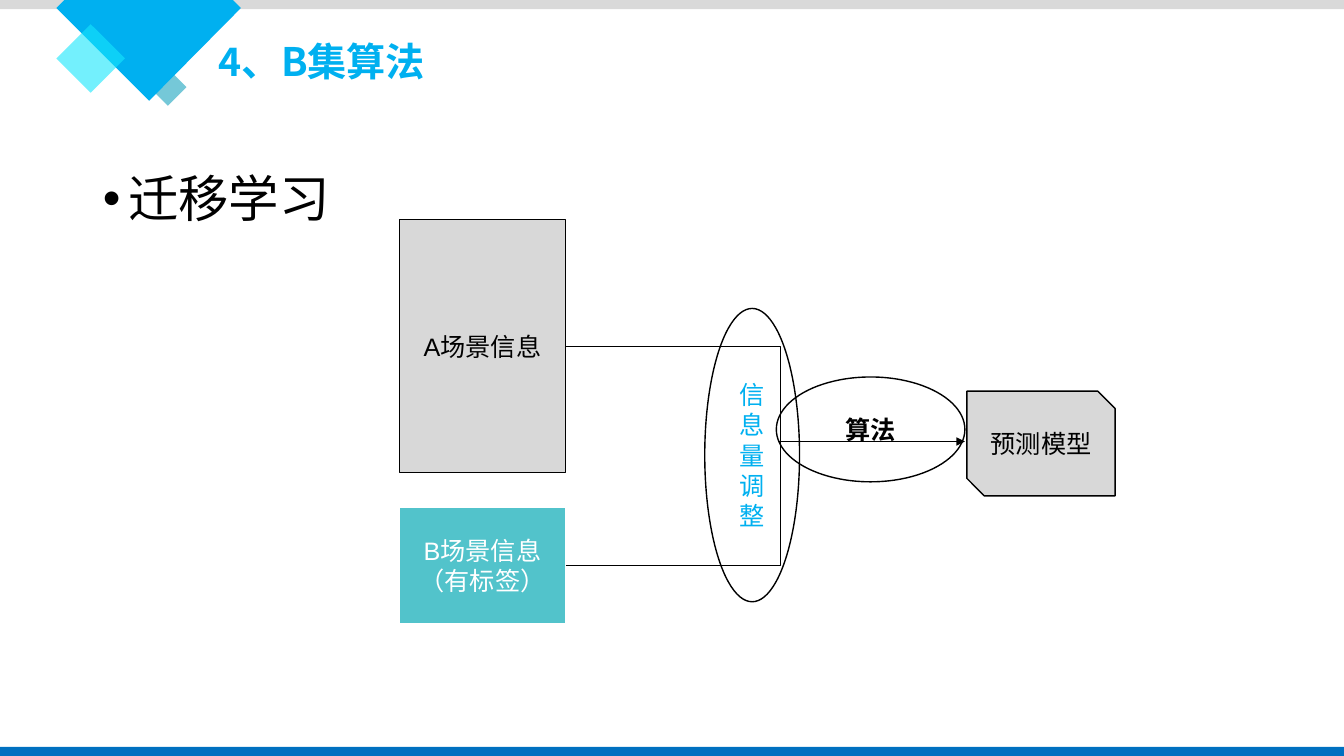
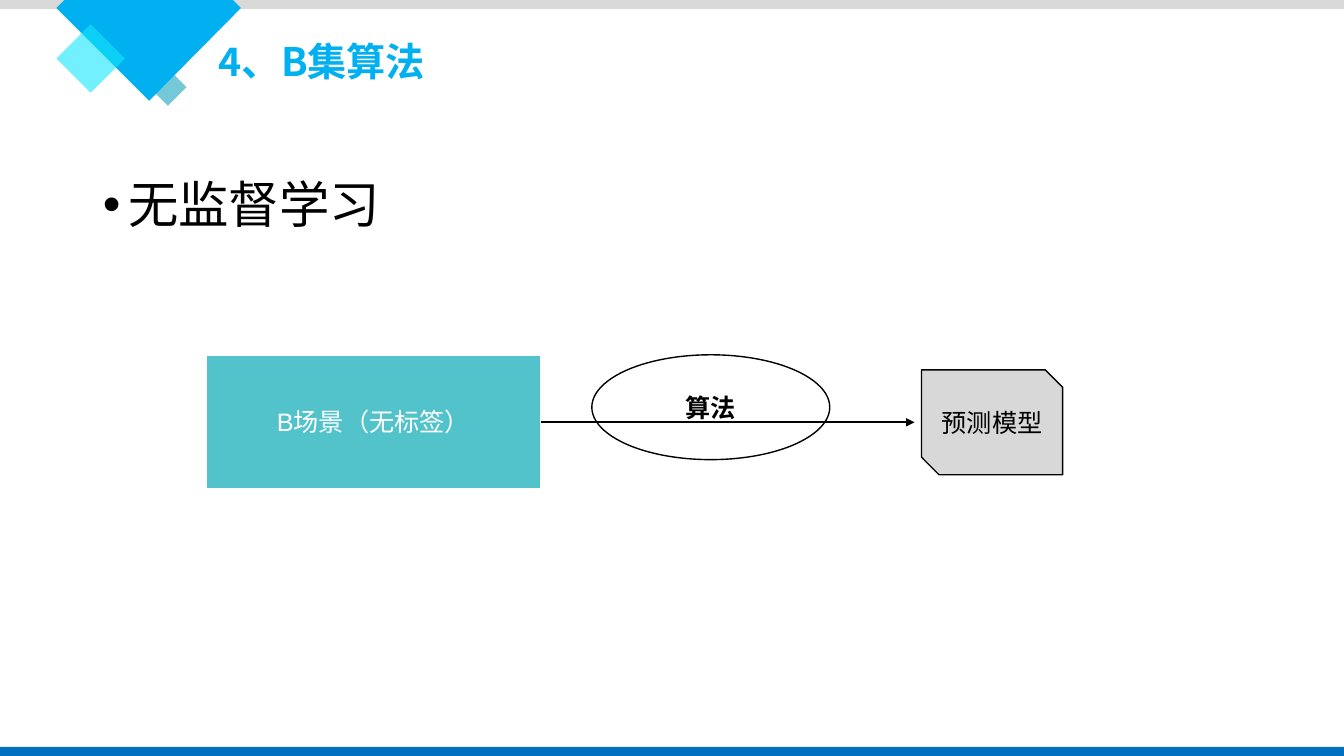
from dataclasses import dataclass

from lxml.etree import SubElement
from pptx import Presentation
from pptx.dml.color import RGBColor
from pptx.enum.shapes import MSO_CONNECTOR as Route, MSO_SHAPE as Preset
from pptx.enum.text import MSO_ANCHOR as Anchor, MSO_AUTO_SIZE as AutoSize, PP_ALIGN as Align
from pptx.oxml.ns import qn
from pptx.util import Inches, Pt


@dataclass(frozen=True)
class Theme:
    black: str = "000000"
    white: str = "FFFFFF"
    sky: str = "00B0F0"
    cyan: str = "16E6FC"
    sea: str = "1AA4BE"
    blue: str = "0070C0"
    silver: str = "D9D9D9"
    grey: str = "D8D8D8"
    teal: str = "52C3CB"
    latin: str = "Arial"
    chinese: str = "Noto Sans CJK SC"
    title_size: int = 28
    body_size: int = 36
    label_size: int = 18


THEME = Theme()
SLIDE_WIDTH, SLIDE_HEIGHT, BAND = 13.33, 7.5, 0.09


def color(value):
    return RGBColor.from_string(value)


def place(shape, box):
    shape.left, shape.top, shape.width, shape.height = map(Inches, box)


def add_run(para, text, size, ink, face, bold=False):
    run = para.add_run()
    run.text = text
    run.font.size = Pt(size)
    run.font.bold = bold
    run.font.name = face
    run.font.color.rgb = color(ink)
    east_asian = SubElement(run.font._element, qn("a:ea"))
    east_asian.set("typeface", THEME.chinese)


def paint(shape, fill=None, line=None, weight=1, opacity=100):
    shape.shadow.inherit = False
    if fill:
        shape.fill.solid()
        shape.fill.fore_color.rgb = color(fill)
        if opacity < 100:
            tint = shape.element.find(f".//{qn('a:solidFill')}/{qn('a:srgbClr')}")
            SubElement(tint, qn("a:alpha")).set("val", str(opacity * 1000))
    else:
        shape.fill.background()
    if line:
        shape.line.color.rgb = color(line)
        shape.line.width = Pt(weight)
    else:
        shape.line.fill.background()


def add_preset(page, preset, box, **look):
    shape = page.shapes.add_shape(preset, *map(Inches, box))
    paint(shape, **look)
    return shape


def add_label(page, preset, box, text, ink=THEME.black, bold=False, **look):
    shape = add_preset(page, preset, box, **look)
    frame = shape.text_frame
    frame.word_wrap = True
    frame.vertical_anchor = Anchor.MIDDLE
    para = frame.paragraphs[0]
    para.alignment = Align.CENTER
    add_run(para, text, THEME.label_size, ink, THEME.latin, bold)


def add_scene(page, box, text):
    add_label(page, Preset.RECTANGLE, box, text, THEME.white,
              fill=THEME.teal, line=THEME.white, weight=1.5)


def add_algorithm(page, box):
    add_label(page, Preset.OVAL, box, "算法", bold=True, line=THEME.black)


def add_model(page, box):
    add_label(page, Preset.SNIP_2_DIAG_RECTANGLE, box, "预测模型",
              fill=THEME.grey, line=THEME.black)


def add_link(page, start, end, weight, bend=None, arrow=True):
    route = Route.STRAIGHT if bend is None else Route.ELBOW
    link = page.shapes.add_connector(route, *map(Inches, start + end))
    link.line.color.rgb = color(THEME.black)
    link.line.width = Pt(weight)
    if arrow:
        SubElement(link.line._get_or_add_ln(), qn("a:tailEnd")).set("type", "triangle")
    if bend is not None:
        guides = link.element.find(f".//{qn('a:avLst')}")
        guide = SubElement(guides, qn("a:gd"))
        guide.set("name", "adj1")
        guide.set("fmla", f"val {round(bend * 100000)}")
    SubElement(link.element.spPr, qn("a:effectLst"))


def add_corner(page):
    points = [(0.64, 0), (2.31, 0), (2.39, 0.08), (1.48, 1), (0.56, 0.08)]
    start, *rest = [tuple(map(Inches, point)) for point in points]
    builder = page.shapes.build_freeform(*start)
    builder.add_line_segments(rest, close=True)
    corner = builder.convert_to_shape()
    paint(corner, fill=THEME.sky)
    return corner


def decorate_layout(layout, page):
    decorations = [
        add_preset(page, Preset.DIAMOND, (1.48, 0.68, 0.37, 0.37), fill=THEME.sea, opacity=60),
        add_preset(page, Preset.RECTANGLE, (0, 0, SLIDE_WIDTH, BAND), fill=THEME.silver),
        add_corner(page),
        add_preset(page, Preset.DIAMOND, (0.56, 0.24, 0.68, 0.68), fill=THEME.cyan, opacity=60),
        add_preset(page, Preset.RECTANGLE, (0, SLIDE_HEIGHT - BAND, SLIDE_WIDTH, BAND),
                   fill=THEME.blue),
    ]
    for shape in decorations:
        layout.shapes.element.append(shape.element)


def fill_placeholder(shape, box, text, size, ink, anchor, bold=False):
    place(shape, box)
    frame = shape.text_frame
    frame.word_wrap = True
    frame.auto_size = AutoSize.NONE
    frame.vertical_anchor = anchor
    para = frame.paragraphs[0]
    para.alignment = Align.LEFT
    add_run(para, text, size, ink, THEME.chinese, bold)
    return para


def add_page(deck, topic, body_top):
    page = deck.slides.add_slide(deck.slide_layouts[1])
    title, body = page.placeholders
    fill_placeholder(title, (2.07, 0.32, 4.58, 0.57), "4、B集算法",
                     THEME.title_size, THEME.sky, Anchor.MIDDLE, bold=True)
    para = fill_placeholder(body, (0.92, body_top, 11.5, 4.76), topic,
                            THEME.body_size, THEME.black, Anchor.TOP)
    para.line_spacing = 1.5
    para.space_before = Pt(10)
    settings = para._p.get_or_add_pPr()
    settings.set("marL", str(Inches(0.25)))
    settings.set("indent", str(-Inches(0.25)))
    SubElement(settings, qn("a:buFont")).set("typeface", THEME.latin)
    SubElement(settings, qn("a:buChar")).set("char", "•")
    return page


def draw_transfer_learning(page):
    add_algorithm(page, (7.7, 3.74, 1.87, 1.04))
    add_label(page, Preset.RECTANGLE, (3.96, 2.18, 1.65, 2.51), "A场景信息",
              fill=THEME.grey, line=THEME.black)
    add_scene(page, (3.96, 5.03, 1.65, 1.16), "B场景信息（有标签）")
    add_link(page, (5.61, 3.44), (9.57, 4.38), 0.5, bend=0.537)
    add_link(page, (5.61, 5.61), (7.72, 4.38), 0.5, bend=1.009, arrow=False)
    add_model(page, (9.59, 3.88, 1.47, 1.04))
    add_label(page, Preset.OVAL, (6.99, 3.06, 0.94, 2.91), "信息量调整",
              THEME.sky, line=THEME.black)


def draw_unsupervised_learning(page):
    add_scene(page, (2.04, 3.52, 3.33, 1.33), "B场景（无标签）")
    add_algorithm(page, (5.87, 3.52, 2.36, 1.04))
    add_link(page, (5.37, 4.19), (9.07, 4.19), 1.5)
    add_model(page, (9.14, 3.67, 1.4, 1.04))


def main():
    deck = Presentation()
    deck.slide_width = Inches(SLIDE_WIDTH)
    deck.slide_height = Inches(SLIDE_HEIGHT)
    transfer = add_page(deck, "迁移学习", 1.31)
    decorate_layout(transfer.slide_layout, transfer)
    draw_transfer_learning(transfer)
    draw_unsupervised_learning(add_page(deck, "无监督学习", 1.37))
    deck.save("out.pptx")


if __name__ == "__main__":
    main()
